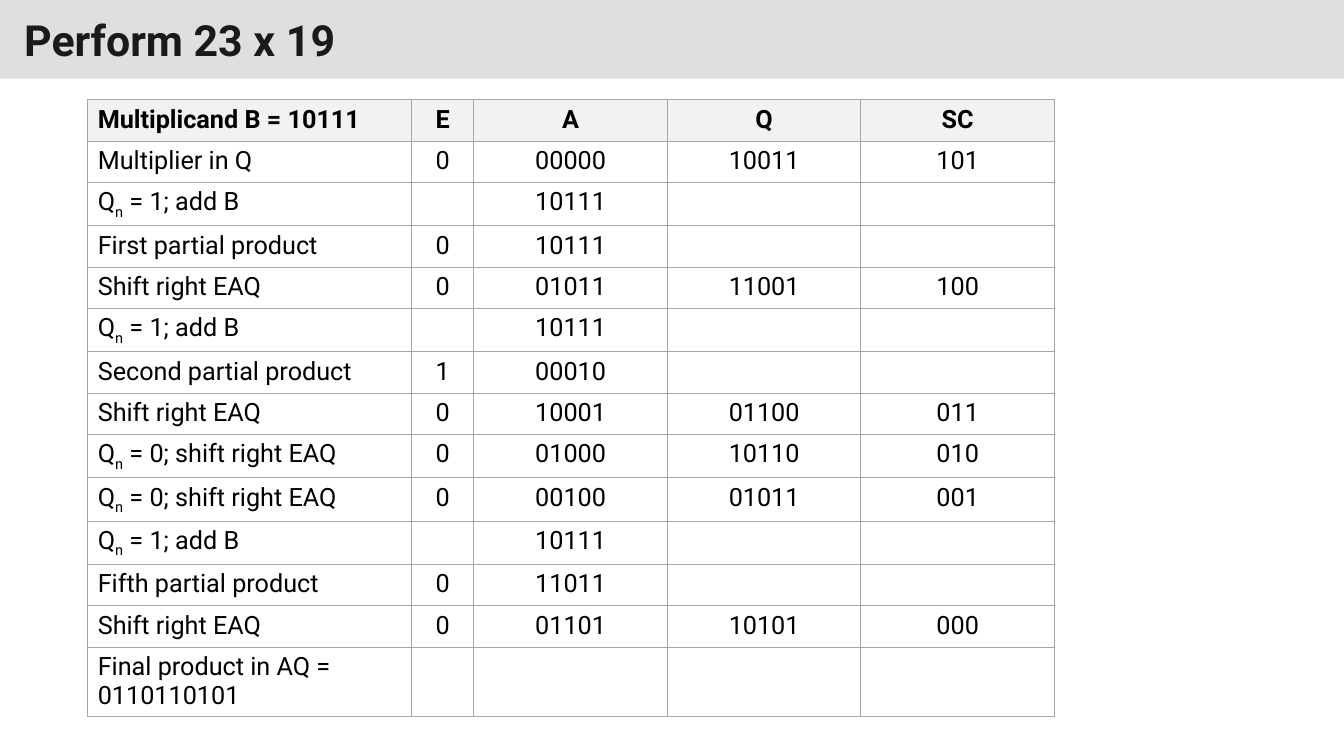
from dataclasses import dataclass

from lxml.etree import SubElement
from pptx import Presentation
from pptx.dml.color import RGBColor
from pptx.enum.shapes import MSO_SHAPE
from pptx.enum.text import MSO_ANCHOR, PP_ALIGN
from pptx.oxml.ns import qn
from pptx.slide import Slide
from pptx.table import _Cell
from pptx.text.text import _Run
from pptx.util import Inches, Pt


@dataclass(frozen=True)
class Theme:
    font: str = "Roboto"
    title_size: float = 30.6
    table_size: float = 18
    border_width: float = 0.75
    title_ink: str = "1A1A1A"
    ink: str = "000000"
    banner: str = "C0C0C0"
    banner_alpha: int = 50
    header_fill: str = "F2F2F2"
    body_fill: str = "FFFFFF"
    border: str = "A6A6A6"


@dataclass(frozen=True)
class Step:
    label: str
    e: str = ""
    a: str = ""
    q: str = ""
    sc: str = ""

    def values(self) -> tuple[str, ...]:
        return self.label, self.e, self.a, self.q, self.sc


THEME = Theme()
SUBSCRIPT_MARK = "_n"
COLUMN_WIDTHS = (3.21, 0.62, 1.92, 1.92, 1.92)
ROW_HEIGHT = 0.41
ADD_B = Step("Q_n = 1; add B", a="10111")
STEPS = (
    Step("Multiplicand B = 10111", "E", "A", "Q", "SC"),
    Step("Multiplier in Q", "0", "00000", "10011", "101"),
    ADD_B,
    Step("First partial product", "0", "10111"),
    Step("Shift right EAQ", "0", "01011", "11001", "100"),
    ADD_B,
    Step("Second partial product", "1", "00010"),
    Step("Shift right EAQ", "0", "10001", "01100", "011"),
    Step("Q_n = 0; shift right EAQ", "0", "01000", "10110", "010"),
    Step("Q_n = 0; shift right EAQ", "0", "00100", "01011", "001"),
    ADD_B,
    Step("Fifth partial product", "0", "11011"),
    Step("Shift right EAQ", "0", "01101", "10101", "000"),
    Step("Final product in AQ = 0110110101"),
)


def format_run(run: _Run, size: float, color: str, bold: bool) -> None:
    run.font.name = THEME.font
    run.font.size = Pt(size)
    run.font.bold = bold
    run.font.color.rgb = RGBColor.from_string(color)


def draw_title(page: Slide, text: str) -> None:
    box = page.shapes.add_shape(MSO_SHAPE.RECTANGLE, 0, 0, Inches(13.33), Inches(0.78))
    box.shadow.inherit = False
    box.line.fill.background()
    box.fill.solid()
    box.fill.fore_color.rgb = RGBColor.from_string(THEME.banner)
    color = box.fill._xPr.find(qn("a:solidFill"))[0]
    SubElement(color, qn("a:alpha"), val=str(THEME.banner_alpha * 1000))
    frame = box.text_frame
    frame.margin_left = frame.margin_right = Inches(0.24)
    frame.margin_top = frame.margin_bottom = Inches(0.12)
    frame.vertical_anchor = MSO_ANCHOR.MIDDLE
    frame.word_wrap = True
    frame.text = text
    para = frame.paragraphs[0]
    para.alignment = PP_ALIGN.LEFT
    format_run(para.runs[0], THEME.title_size, THEME.title_ink, True)


def set_borders(cell: _Cell) -> None:
    properties = cell._tc.get_or_add_tcPr()
    for side in ("lnL", "lnR", "lnT", "lnB"):
        line = SubElement(properties, qn(f"a:{side}"), w=str(Pt(THEME.border_width)))
        fill = SubElement(line, qn("a:solidFill"))
        SubElement(fill, qn("a:srgbClr"), val=THEME.border)


def fill_cell(cell: _Cell, text: str, header: bool, centered: bool) -> None:
    set_borders(cell)
    cell.fill.solid()
    fill = THEME.header_fill if header else THEME.body_fill
    cell.fill.fore_color.rgb = RGBColor.from_string(fill)
    para = cell.text_frame.paragraphs[0]
    para.alignment = PP_ALIGN.CENTER if centered else PP_ALIGN.LEFT
    before, mark, after = text.partition(SUBSCRIPT_MARK)
    para.text = before
    if mark:
        subscript = para.add_run()
        subscript.text = mark[1:]
        subscript._r.get_or_add_rPr().set("baseline", "-25000")
        para.add_run().text = after
    for span in para.runs:
        format_run(span, THEME.table_size, THEME.ink, header)


def draw_table(page: Slide, steps: tuple[Step, ...]) -> None:
    table = page.shapes.add_table(
        len(steps), len(COLUMN_WIDTHS), Inches(0.87), Inches(0.99),
        Inches(sum(COLUMN_WIDTHS)), Inches(ROW_HEIGHT * len(steps)),
    ).table
    table.first_row = False
    table.horz_banding = False
    for column, width in zip(table.columns, COLUMN_WIDTHS):
        column.width = Inches(width)
    for row_index, step in enumerate(steps):
        table.rows[row_index].height = Inches(ROW_HEIGHT)
        for column_index, text in enumerate(step.values()):
            cell = table.cell(row_index, column_index)
            fill_cell(cell, text, row_index == 0, column_index > 0)


def main() -> None:
    deck = Presentation()
    deck.slide_width = Inches(13.33)
    deck.slide_height = Inches(7.5)
    page = deck.slides.add_slide(deck.slide_layouts[6])
    draw_title(page, "Perform 23 x 19")
    draw_table(page, STEPS)
    deck.save("out.pptx")


if __name__ == "__main__":
    main()
